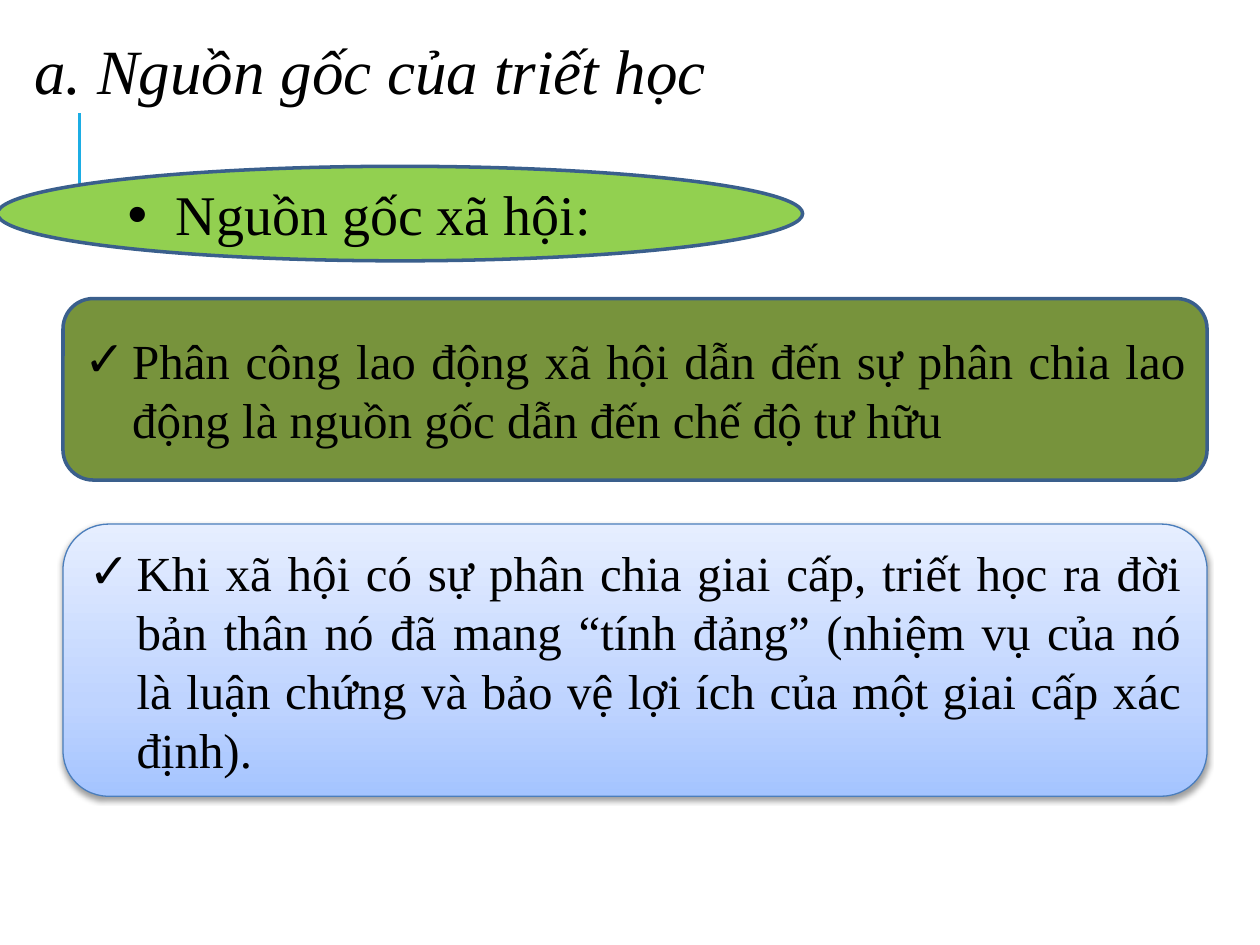
from lxml.etree import SubElement
from pptx import Presentation
from pptx.dml.color import RGBColor
from pptx.enum.shapes import MSO_CONNECTOR, MSO_SHAPE
from pptx.enum.text import MSO_ANCHOR, MSO_AUTO_SIZE, PP_ALIGN
from pptx.oxml import parse_xml
from pptx.oxml.ns import nsdecls, qn
from pptx.util import Inches, Pt

THEME = {
    "font": "Times New Roman",
    "text": RGBColor.from_string("000000"),
    "accent": RGBColor.from_string("1CADE4"),
    "outline": RGBColor.from_string("3A5F8C"),
    "soft_outline": RGBColor.from_string("4B7EBC"),
    "lime": RGBColor.from_string("92D050"),
    "olive": RGBColor.from_string("77933C"),
    "gradient": [(0, "A4C4FF"), (35, "BFD4FF"), (100, "E6EEFF")],
    "title_size": Pt(36),
    "heading_size": Pt(32),
    "body_size": Pt(28),
}


def add_styled_run(paragraph, text, size, italic=False):
    run = paragraph.add_run()
    run.text = text
    run.font.name = THEME["font"]
    run.font.size = size
    run.font.italic = italic
    run.font.color.rgb = THEME["text"]


def add_bullet(paragraph, character):
    properties = paragraph._p.get_or_add_pPr()
    properties.set("marL", str(Inches(0.38)))
    properties.set("indent", str(-Inches(0.38)))
    spacing = SubElement(properties, qn("a:spcBef"))
    SubElement(spacing, qn("a:spcPct")).set("val", "20000")
    SubElement(properties, qn("a:buFont")).set("typeface", "Arial")
    SubElement(properties, qn("a:buChar")).set("char", character)


presentation = Presentation()
presentation.slide_width = Inches(10)
presentation.slide_height = Inches(7.5)
slide = presentation.slides.add_slide(presentation.slide_layouts[5])

title = slide.shapes.title
title.left, title.top = Inches(0.17), Inches(0.17)
title.width, title.height = Inches(9.75), Inches(0.83)
title_frame = title.text_frame
title_frame.auto_size = MSO_AUTO_SIZE.NONE
title_frame.vertical_anchor = MSO_ANCHOR.MIDDLE
title_paragraph = title_frame.paragraphs[0]
title_paragraph.alignment = PP_ALIGN.LEFT
title_paragraph.line_spacing = 0.9
add_styled_run(title_paragraph, "a. Nguồn gốc của triết học", THEME["title_size"], italic=True)

accent_line = slide.shapes.add_connector(
    MSO_CONNECTOR.STRAIGHT, Inches(0.63), Inches(1.9), Inches(0.63), Inches(0.9)
)
accent_line.line.color.rgb = THEME["accent"]
accent_line.line.width = Pt(1.5)
SubElement(accent_line._element.spPr, qn("a:effectLst"))

column_left, column_width = 0.5, 9.08
panels = [
    (MSO_SHAPE.OVAL, (-0.02, 1.32, 6.39, 0.75), THEME["lime"], THEME["outline"], 2,
     PP_ALIGN.LEFT, "•", THEME["heading_size"], "Nguồn gốc xã hội:"),
    (MSO_SHAPE.ROUNDED_RECTANGLE, (column_left, 2.37, column_width, 1.44),
     THEME["olive"], THEME["outline"], 2, PP_ALIGN.JUSTIFY, "✓", THEME["body_size"],
     "Phân công lao động xã hội dẫn đến sự phân chia lao động "
     "là nguồn gốc dẫn đến chế độ tư hữu"),
    (MSO_SHAPE.ROUNDED_RECTANGLE, (column_left, 4.16, column_width, 2.16),
     None, THEME["soft_outline"], 0.75, PP_ALIGN.JUSTIFY, "✓", THEME["body_size"],
     "Khi xã hội có sự phân chia giai cấp, triết học ra đời bản thân nó đã mang "
     "“tính đảng” (nhiệm vụ của nó là luận chứng và bảo vệ lợi ích của một "
     "giai cấp xác định)."),
]

for kind, box, fill, outline, weight, alignment, bullet, size, text in panels:
    shape = slide.shapes.add_shape(kind, *[Inches(length) for length in box])
    shape.shadow.inherit = False
    shape.line.color.rgb = outline
    shape.line.width = Pt(weight)
    if fill is not None:
        shape.fill.solid()
        shape.fill.fore_color.rgb = fill
    else:
        stops = "".join(
            f'<a:gs pos="{position * 1000}"><a:srgbClr val="{color}"/></a:gs>'
            for position, color in THEME["gradient"]
        )
        gradient = parse_xml(
            f'<a:gradFill {nsdecls("a")} rotWithShape="1"><a:gsLst>{stops}</a:gsLst>'
            '<a:lin ang="16200000" scaled="0"/></a:gradFill>'
        )
        shape._element.spPr.find(qn("a:prstGeom")).addnext(gradient)
        shadow = parse_xml(
            f'<a:outerShdw {nsdecls("a")} blurRad="{Pt(3.1)}" dist="{Pt(1.6)}" '
            'dir="5400000" rotWithShape="0"><a:srgbClr val="000000">'
            '<a:alpha val="38000"/></a:srgbClr></a:outerShdw>'
        )
        shape._element.spPr.find(qn("a:effectLst")).append(shadow)
    frame = shape.text_frame
    frame.word_wrap = True
    frame.vertical_anchor = MSO_ANCHOR.MIDDLE
    paragraph = frame.paragraphs[0]
    paragraph.alignment = alignment
    add_bullet(paragraph, bullet)
    add_styled_run(paragraph, text, size)

presentation.save("out.pptx")
